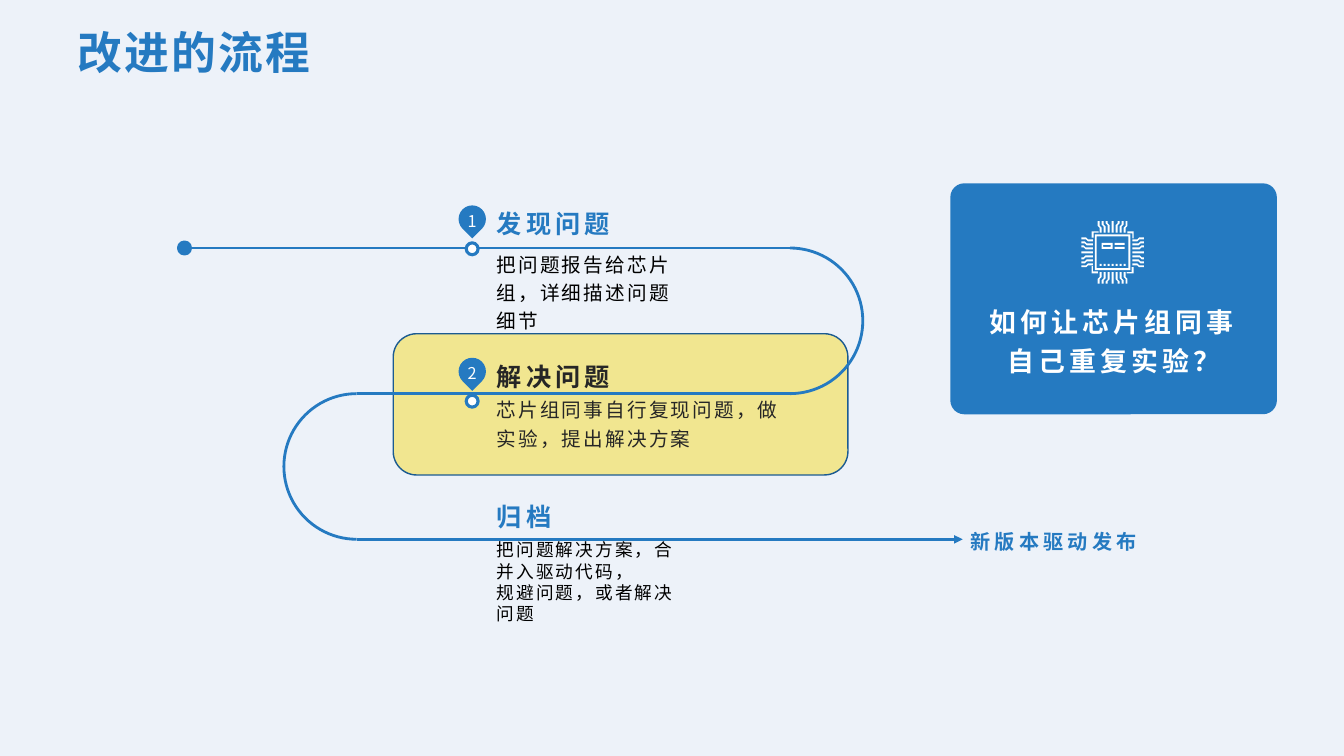
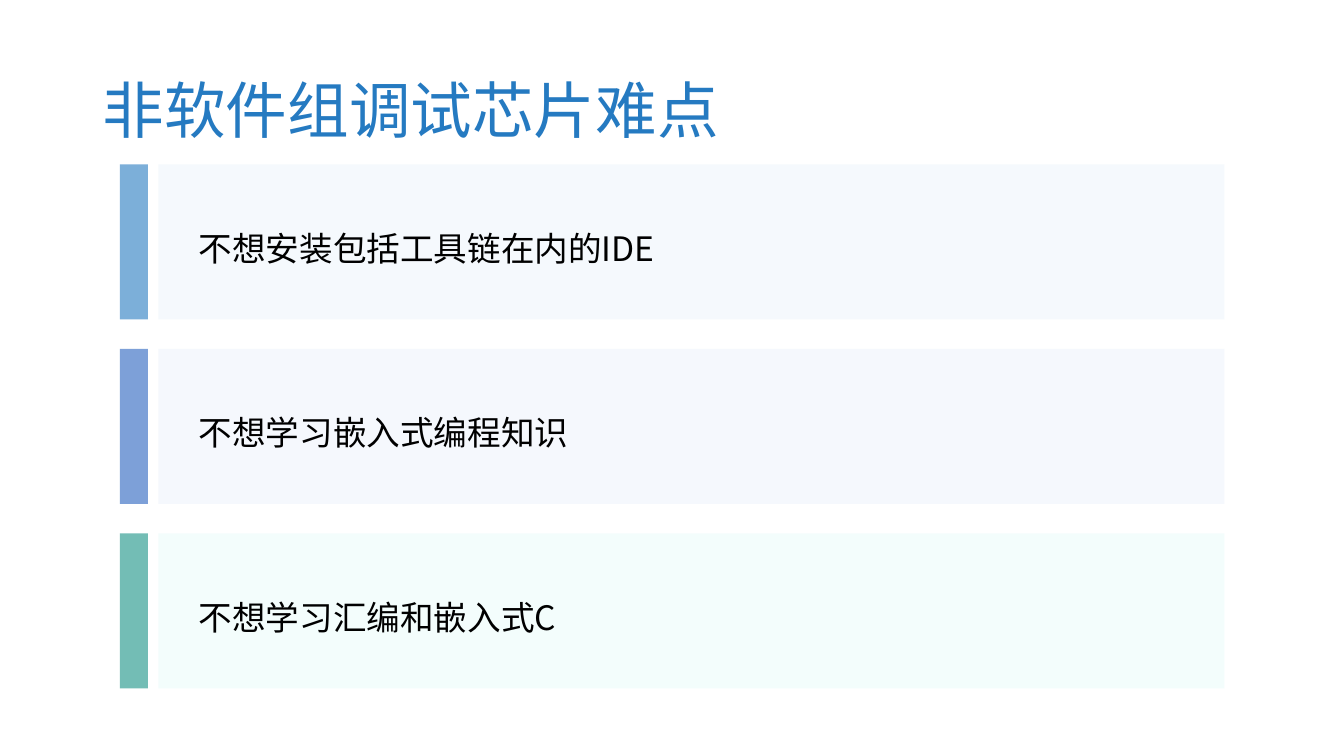
from dataclasses import dataclass, replace
from typing import Optional

from lxml import etree
from pptx import Presentation
from pptx import util as u
from pptx.dml.color import RGBColor
from pptx.enum import shapes, text
from pptx.oxml.ns import qn

FONT = "Noto Sans CJK SC"
COLORS = {
    "blue": "257AC1", "navy": "1C5B91", "pale": "EDF2F9", "yellow": "F1E690",
    "white": "FFFFFF", "black": "000000", "ink": "262626",
    "sky": "D0E5F6", "lavender": "D0DFF6", "mint": "C4F6F1",
    "royal": "2761BF", "teal": "179185",
}
SHAPE = shapes.MSO_SHAPE
TOP, MIDDLE, BOTTOM = (text.MSO_ANCHOR.TOP, text.MSO_ANCHOR.MIDDLE,
                       text.MSO_ANCHOR.BOTTOM)
LEFT, CENTER = text.PP_ALIGN.LEFT, text.PP_ALIGN.CENTER

Box = tuple[float, float, float, float]
Point = tuple[float, float]
Contour = list[Point]


@dataclass(frozen=True)
class TextStyle:
    size: float
    color: str = "blue"
    bold: bool = False
    tracking: float = 0
    leading: float = 1.0
    align: int = LEFT
    anchor: int = TOP
    insets: Box = (0.25, 0.13, 0.25, 0.13)


@dataclass(frozen=True)
class Step:
    heading: str
    heading_top: float
    body: list[str]
    body_style: TextStyle
    width: float = 5.16
    heading_color: str = "blue"


@dataclass(frozen=True)
class Marker:
    number: str
    y: float


@dataclass(frozen=True)
class Difficulty:
    wording: str
    panel: str
    bar: str


TITLE = TextStyle(32, bold=True, tracking=1.5, leading=0.9, anchor=BOTTOM)
BIG_TITLE = TextStyle(44, leading=0.9, anchor=MIDDLE)
HEADING = TextStyle(18, bold=True, tracking=3, leading=1.1,
                    insets=(0.25, 0.13, 0.25, 0))
RELEASE = replace(HEADING, size=14.4, leading=1.2)
BODY = TextStyle(14, "black", tracking=1.5, leading=1.2,
                 insets=(0.25, 0, 0.25, 0.13))
NUMBER = TextStyle(11.6, "white", leading=1.3, align=CENTER)
QUESTION = TextStyle(19.2, "white", bold=True, tracking=3, leading=1.2,
                     align=CENTER)
DIFFICULTY = TextStyle(24, "black", leading=1.3, anchor=MIDDLE,
                       insets=(1.02, 0.46, 0.64, 0.46))

ROW_TOP, ROW_STEP = 6.25, 3.67
LINE_START, TURN_LEFT, TURN_RIGHT, LINE_END = 4.65, 8.99, 19.91, 24.26
STEP_LEFT, MARKER_X, DOT = 12.27, 11.9, 0.3

STEPS = [
    Step("发现问题", 5.05, ["把问题报告给芯片组，详细描述问题细节"], BODY),
    Step("解决问题", 8.89, ["芯片组同事自行复现问题，做实验，提出解决方案"],
         replace(BODY, color="ink"), 7.98, "ink"),
    Step("归档", 12.42, ["把问题解决方案，合并入驱动代码，", "规避问题，或者解决问题"],
         replace(BODY, size=12.6, leading=1.0)),
]
MARKERS = [Marker("1", 6.27), Marker("2", 10.11)]
DIFFICULTIES = [
    Difficulty("不想安装包括工具链在内的IDE", "sky", "blue"),
    Difficulty("不想学习嵌入式编程知识", "lavender", "royal"),
    Difficulty("不想学习汇编和嵌入式C", "mint", "teal"),
]


def rgb(color: str) -> RGBColor:
    return RGBColor.from_string(COLORS[color])


def cm(values) -> list[int]:
    return [u.Cm(value) for value in values]


def around(x: float, y: float, size: float) -> Box:
    """Square box centred on a point."""
    return x - size / 2, y - size / 2, size, size


def set_all(target, values: dict) -> None:
    for name, value in values.items():
        setattr(target, name, value)


def write(shape, paragraphs: list[str], style: TextStyle) -> None:
    frame = shape.text_frame
    left, top, right, bottom = cm(style.insets)
    set_all(frame, {"word_wrap": True, "vertical_anchor": style.anchor,
                    "margin_left": left, "margin_top": top,
                    "margin_right": right, "margin_bottom": bottom})
    for index, wording in enumerate(paragraphs):
        paragraph = frame.add_paragraph() if index else frame.paragraphs[0]
        set_all(paragraph, {"alignment": style.align,
                            "line_spacing": style.leading})
        run = paragraph.add_run()
        run.text = wording
        run.font.color.rgb = rgb(style.color)
        set_all(run.font, {"size": u.Pt(style.size), "bold": style.bold,
                           "name": FONT})
        properties = run.font._element
        properties.set("spc", str(round(style.tracking * 100)))
        etree.SubElement(properties, qn("a:ea")).set("typeface", FONT)


def add_label(slide, box: Box, paragraphs: list[str], style: TextStyle) -> None:
    write(slide.shapes.add_textbox(*cm(box)), paragraphs, style)


def paint(shape, fill: Optional[str], line: Optional[str] = None,
          width: float = 1, opacity: int = 100) -> None:
    shape.shadow.inherit = False
    if fill:
        shape.fill.solid()
        shape.fill.fore_color.rgb = rgb(fill)
        if opacity < 100:
            color = shape._element.spPr.find(".//" + qn("a:srgbClr"))
            etree.SubElement(color, qn("a:alpha")).set("val", str(opacity * 1000))
    else:
        shape.fill.background()
    if line:
        shape.line.color.rgb = rgb(line)
        shape.line.width = u.Pt(width)
    else:
        shape.line.fill.background()


def add_shape(slide, kind, box: Box, fill: Optional[str], **look):
    shape = slide.shapes.add_shape(kind, *cm(box))
    paint(shape, fill, **look)
    return shape


def add_track(slide, start: float, end: float, y: float, arrow: bool = False) -> None:
    track = slide.shapes.add_connector(shapes.MSO_CONNECTOR.STRAIGHT,
                                       *cm((start, y, end, y)))
    track.line.color.rgb = rgb("blue")
    track.line.width = u.Pt(2)
    if arrow:
        etree.SubElement(track.line._get_or_add_ln(),
                         qn("a:tailEnd")).set("type", "triangle")
    etree.SubElement(track._element.spPr, qn("a:effectLst"))


def add_turn(slide, x: float, top: float, to_left: bool = False) -> None:
    """Half circle that joins two rows of the track."""
    turn = add_shape(slide, SHAPE.ARC,
                     (x - ROW_STEP / 2, top, ROW_STEP, ROW_STEP),
                     None, line="blue", width=2)
    turn.adjustments[0], turn.adjustments[1] = 162, 54
    if to_left:
        turn._element.spPr.xfrm.set("flipH", "1")


def add_marker(slide, marker: Marker) -> None:
    pin = add_shape(slide, SHAPE.TEAR, around(MARKER_X, marker.y - 0.75, 0.69), "blue")
    pin.rotation = 135
    add_label(slide, (MARKER_X - 0.42, marker.y - 1.22, 0.84, 0.94),
              [marker.number], NUMBER)
    add_shape(slide, SHAPE.OVAL, around(MARKER_X, marker.y, DOT), "white",
              line="blue", width=2.25)


def rectangle(left: float, top: float, right: float, bottom: float) -> Contour:
    return [(left, top), (right, top), (right, bottom), (left, bottom)]


def chip_contours() -> list[Contour]:
    """Outlines of a chip, in cm from its centre."""
    half = 0.025
    side = [[(0.53, 0.37), (0.48, 0.37), (0.48, 0.5),
             (0.35, 0.5), (0.35, 0.53), (0.53, 0.53)]]
    for k in range(-3, 4):
        y, bend = 0.1 * k, 0.71 - 0.03 * abs(k)
        spread = y + 0.05 * ((k > 0) - (k < 0))
        middle = [(0.5, y), (bend, y), (bend + 0.05, spread), (0.79, spread)]
        side.append([(px, py - half) for px, py in middle]
                    + [(px, py + half) for px, py in reversed(middle)])
    contours = []
    for _ in range(4):
        contours += side
        side = [[(-py, px) for px, py in contour] for contour in side]
    contours += [rectangle(-0.45, -0.45, 0.45, 0.45),
                 rectangle(-0.4, -0.4, 0.4, 0.4)[::-1],
                 rectangle(-0.28, -0.24, 0, -0.09),
                 rectangle(-0.24, -0.19, -0.05, -0.14)[::-1],
                 rectangle(0.05, -0.24, 0.3, -0.19),
                 rectangle(0.05, -0.14, 0.3, -0.09)]
    contours += [rectangle(0.1 * k - half, 0.29, 0.1 * k + half, 0.34)
                 for k in range(-3, 4)]
    return contours


def add_chip(slide, x: float, y: float) -> None:
    contours = [[(u.Cm(x + px), u.Cm(y + py)) for px, py in contour]
                for contour in chip_contours()]
    builder = slide.shapes.build_freeform(*contours[0][0])
    for index, (start, *rest) in enumerate(contours):
        if index:
            builder.move_to(*start)
        builder.add_line_segments(rest, close=True)
    paint(builder.convert_to_shape(), "white")


def build_process(slide) -> None:
    slide.background.fill.solid()
    slide.background.fill.fore_color.rgb = rgb("pale")
    add_shape(slide, SHAPE.ROUNDED_RECTANGLE, (9.91, 8.41, 11.46, 3.56),
              "yellow", line="navy")
    add_label(slide, (1.7, 0.43, 30.48, 1.7), ["改进的流程"], TITLE)

    rows = [ROW_TOP + ROW_STEP * i for i in range(len(STEPS))]
    add_track(slide, LINE_START, TURN_RIGHT, rows[0])
    add_turn(slide, TURN_RIGHT, rows[0])
    add_track(slide, TURN_RIGHT, TURN_LEFT, rows[1])
    add_turn(slide, TURN_LEFT, rows[1], to_left=True)
    add_track(slide, TURN_LEFT, LINE_END, rows[2], arrow=True)
    add_shape(slide, SHAPE.OVAL, around(LINE_START, rows[0], DOT), "blue",
              line="blue", width=2.25)

    for marker in MARKERS:
        add_marker(slide, marker)
    for step, y in zip(STEPS, rows):
        add_label(slide, (STEP_LEFT, step.heading_top, 5.16, 1.02),
                  [step.heading], replace(HEADING, color=step.heading_color))
        add_label(slide, (STEP_LEFT, y, step.width, 2.51), step.body, step.body_style)
    add_label(slide, (24.21, 13.08, 5.16, 1.02), ["新版本驱动发布"], RELEASE)

    card = add_shape(slide, SHAPE.ROUNDED_RECTANGLE, (23.95, 4.62, 8.23, 5.82), "blue")
    card.adjustments[0] = 0.06
    add_chip(slide, 28.04, 6.36)
    add_label(slide, (24.61, 7.42, 6.93, 2.29), ["如何让芯片组同事自己重复实验？"], QUESTION)


def build_difficulties(slide) -> None:
    for index, item in enumerate(DIFFICULTIES):
        top, height = 4.14 + 4.65 * index, 3.91
        panel = add_shape(slide, SHAPE.RECTANGLE, (3.99, top, 26.87, height),
                          item.panel, opacity=20)
        write(panel, [item.wording], DIFFICULTY)
        add_shape(slide, SHAPE.RECTANGLE, (3.02, top, 0.71, height),
                  item.bar, opacity=60)
    add_label(slide, (2.34, 1.02, 29.21, 3.68), ["非软件组调试芯片难点"], BIG_TITLE)


def main() -> None:
    deck = Presentation()
    deck.slide_width, deck.slide_height = cm((33.87, 19.05))
    for build in (build_process, build_difficulties):
        build(deck.slides.add_slide(deck.slide_layouts[6]))
    deck.save("out.pptx")


if __name__ == "__main__":
    main()
